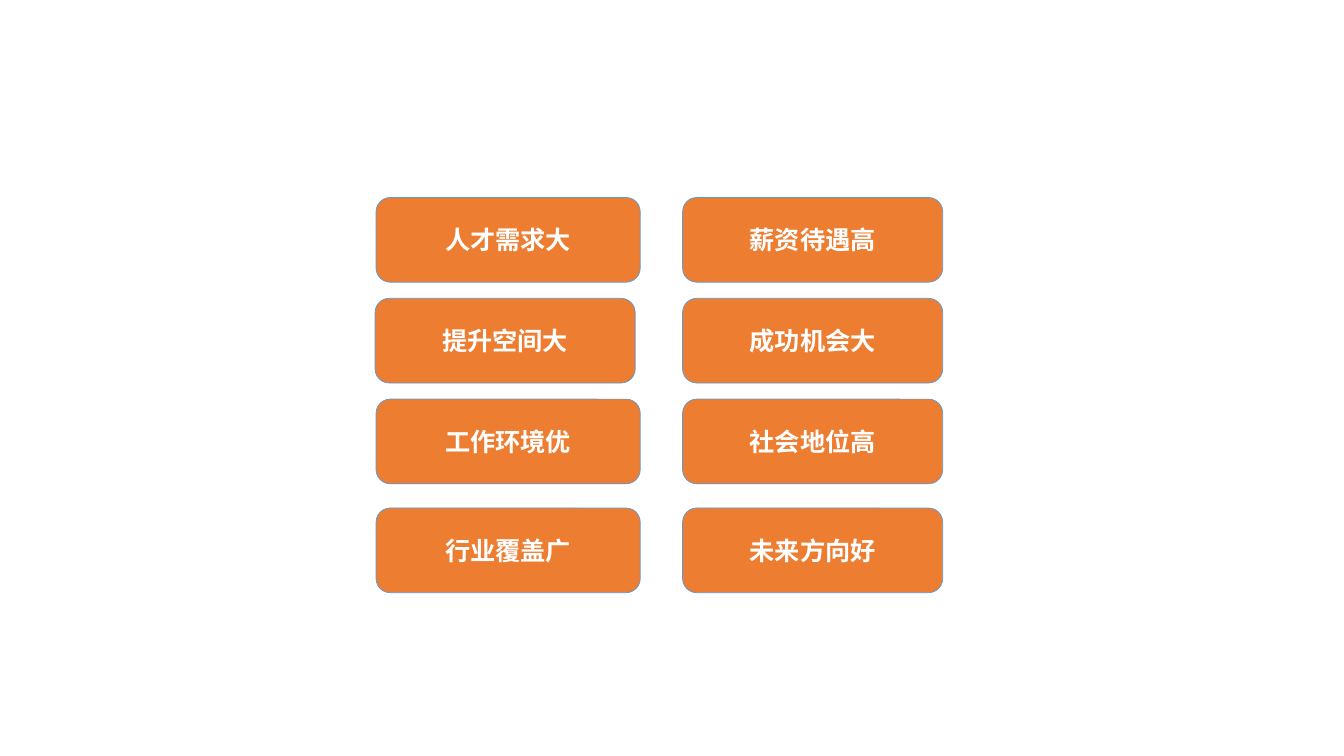
"""Build a slide with eight career advantages in a two-column grid of rounded cards."""
from dataclasses import dataclass

from pptx import Presentation
from pptx.dml.color import RGBColor
from pptx.enum.shapes import MSO_SHAPE
from pptx.enum.text import MSO_ANCHOR, PP_ALIGN
from pptx.util import Inches, Pt

ADVANTAGES = [
    ("人才需求大", "薪资待遇高"),
    ("提升空间大", "成功机会大"),
    ("工作环境优", "社会地位高"),
    ("行业覆盖广", "未来方向好"),
]


@dataclass(frozen=True)
class Theme:
    fill: RGBColor = RGBColor(0xED, 0x7D, 0x31)
    outline: RGBColor = RGBColor(0x5B, 0x9B, 0xD5)
    text: RGBColor = RGBColor(0xFF, 0xFF, 0xFF)
    font: str = "Calibri"
    size: int = 18
    line_width: float = 0.5


THEME = Theme()
SLIDE_WIDTH, SLIDE_HEIGHT = 13.33, 7.5
COLUMNS = [(3.73, 2.62), (6.77, 2.58)]
NARROW_CARDS = {(1, 0): (3.72, 2.58)}
FIRST_TOP, ROW_PITCH, CARD_HEIGHT = 1.96, 1.0, 0.84
LAST_ROW_DROP = 0.08
INSET_X, INSET_Y = 0.13, 0.07


def write(frame, text, *, size=THEME.size, color=THEME.text, bold=True):
    frame.word_wrap = True
    frame.vertical_anchor = MSO_ANCHOR.MIDDLE
    frame.margin_left = frame.margin_right = Inches(INSET_X)
    frame.margin_top = frame.margin_bottom = Inches(INSET_Y)
    para = frame.paragraphs[0]
    para.alignment = PP_ALIGN.CENTER
    span = para.add_run()
    span.text = text
    span.font.name = THEME.font
    span.font.size = Pt(size)
    span.font.bold = bold
    span.font.color.rgb = color


def add_card(page, text, left, top, width):
    card = page.shapes.add_shape(
        MSO_SHAPE.ROUNDED_RECTANGLE,
        Inches(left), Inches(top), Inches(width), Inches(CARD_HEIGHT),
    )
    card.shadow.inherit = False
    card.fill.solid()
    card.fill.fore_color.rgb = THEME.fill
    card.line.color.rgb = THEME.outline
    card.line.width = Pt(THEME.line_width)
    write(card.text_frame, text)


def main():
    deck = Presentation()
    deck.slide_width, deck.slide_height = Inches(SLIDE_WIDTH), Inches(SLIDE_HEIGHT)
    page = deck.slides.add_slide(deck.slide_layouts[6])
    last_row = len(ADVANTAGES) - 1
    for row, labels in enumerate(ADVANTAGES):
        top = FIRST_TOP + row * ROW_PITCH + (LAST_ROW_DROP if row == last_row else 0)
        for column, label in enumerate(labels):
            left, width = NARROW_CARDS.get((row, column), COLUMNS[column])
            add_card(page, label, left, top, width)
    deck.save("out.pptx")


if __name__ == "__main__":
    main()
